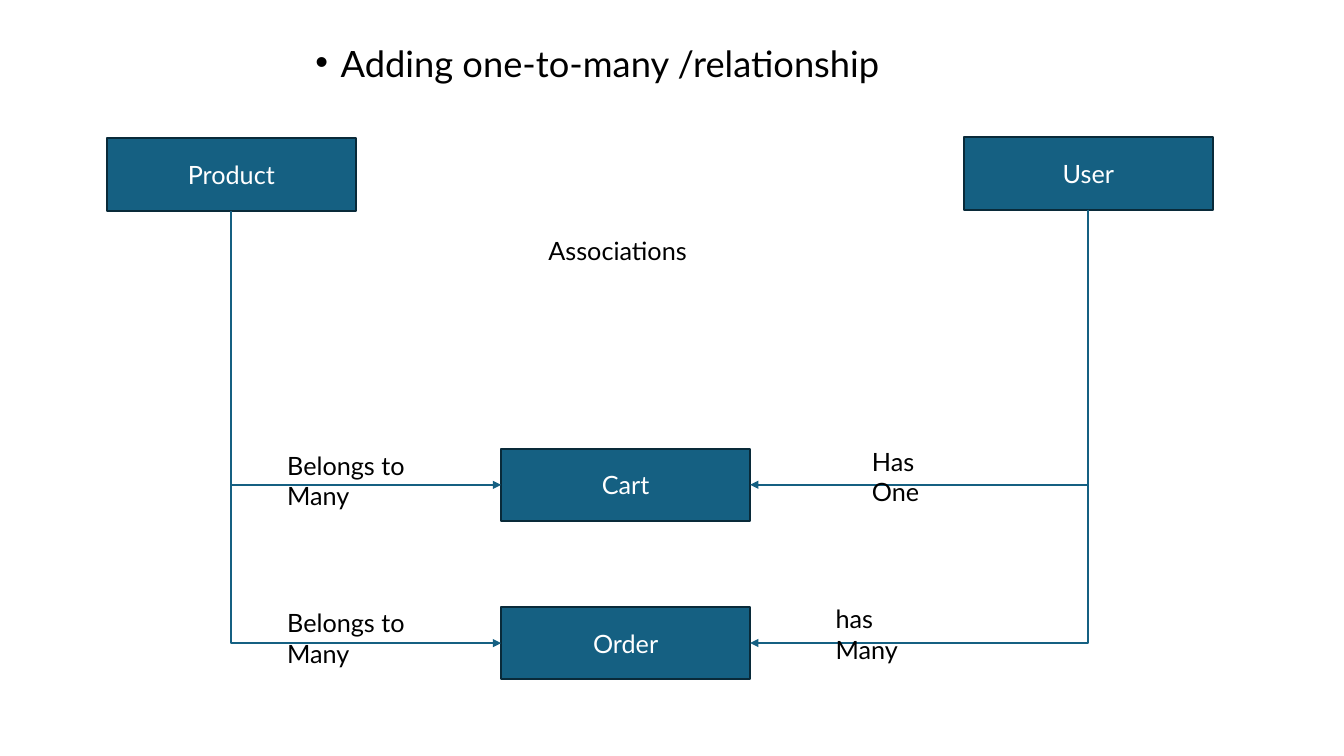
"""Build a slide of the associations between products, users, carts and orders."""
from lxml.etree import SubElement
from pptx import Presentation
from pptx.dml.color import RGBColor
from pptx.enum.shapes import MSO_CONNECTOR, MSO_SHAPE
from pptx.enum.text import MSO_ANCHOR, PP_ALIGN
from pptx.oxml.ns import qn
from pptx.util import Inches, Pt

FONT = "Lato"
BLUE = RGBColor(0x15, 0x60, 0x82)
NAVY = RGBColor(0x09, 0x2A, 0x39)
WHITE = RGBColor(0xFF, 0xFF, 0xFF)
BLACK = RGBColor(0x00, 0x00, 0x00)

TITLE = ("Adding one-to-many /relationship", 3.03, 0.44, 6.35, 0.47)
MODEL_SIZE = (2.47, 0.72)
MODELS = {
    "Product": (1.06, 1.37),
    "User": (9.56, 1.36),
    "Cart": (4.97, 4.45),
    "Order": (4.97, 6.02),
}
LINKS = [("User", "Cart"), ("Product", "Cart"), ("Product", "Order"), ("User", "Order")]
LABELS = [
    ("Has One", 8.55, 4.38, 1.1, 0.4),
    ("Belongs to Many", 2.75, 4.42, 1.98, 0.4),
    ("Belongs to Many", 2.75, 5.98, 1.98, 0.4),
    ("has Many", 8.19, 5.94, 1.2, 0.4),
    ("Associations", 5.34, 2.29, 1.61, 0.4),
]


def write(shape, text, color, size=18):
    """Put one formatted paragraph in a shape and return it."""
    shape.text_frame.word_wrap = True
    para = shape.text_frame.paragraphs[0]
    span = para.add_run()
    span.text = text
    span.font.color.rgb = color
    for name, value in {"name": FONT, "size": Pt(size)}.items():
        setattr(span.font, name, value)
    return para


def add_text(page, text, left, top, width, height, size=18):
    """Add a black text box and return its paragraph."""
    box = page.shapes.add_textbox(*map(Inches, (left, top, width, height)))
    return write(box, text, BLACK, size)


def add_title(page):
    """Add the bulleted heading."""
    para = add_text(page, *TITLE, size=25.9)
    para.line_spacing = 0.8
    para.space_before = Pt(10)
    properties = para._p.get_or_add_pPr()
    properties.set("marL", str(Inches(0.25)))
    properties.set("indent", str(Inches(-0.25)))
    SubElement(properties, qn("a:buFont")).set("typeface", "Arial")
    SubElement(properties, qn("a:buChar")).set("char", "•")


def add_model(page, name, left, top):
    """Add the rectangle of one model."""
    box = page.shapes.add_shape(
        MSO_SHAPE.RECTANGLE, *map(Inches, (left, top, *MODEL_SIZE)))
    box.shadow.inherit = False
    box.fill.solid()
    box.fill.fore_color.rgb = BLUE
    box.line.color.rgb = NAVY
    box.line.width = Pt(1.5)
    box.text_frame.vertical_anchor = MSO_ANCHOR.MIDDLE
    write(box, name, WHITE).alignment = PP_ALIGN.CENTER
    return box


def add_link(page, source, target):
    """Run an arrow down from the source, then across to the target's near side."""
    rightward = source.left < target.left
    start_x = source.left + source.width // 2
    start_y = source.top + source.height
    end_x = target.left if rightward else target.left + target.width
    end_y = target.top + target.height // 2
    across, down = abs(end_x - start_x), end_y - start_y

    link = page.shapes.add_connector(MSO_CONNECTOR.ELBOW, start_x, start_y, end_x, end_y)
    link.begin_connect(source, 2)
    link.end_connect(target, 1 if rightward else 3)
    link.line.color.rgb = BLUE
    link.line.width = Pt(1.5)
    properties = link._element.spPr
    SubElement(link.line._get_or_add_ln(), qn("a:tailEnd")).set("type", "triangle")
    SubElement(properties, qn("a:effectLst"))

    properties.find(qn("a:prstGeom")).set("prst", "bentConnector2")
    frame = properties.find(qn("a:xfrm"))
    frame.attrib.clear()
    frame.set("rot", str((270 if rightward else 90) * 60000))
    if rightward:
        frame.set("flipH", "1")
    link.left = (start_x + end_x - down) // 2
    link.top = (start_y + end_y - across) // 2
    link.width, link.height = down, across


def main():
    """Build and save the slide."""
    deck = Presentation()
    deck.slide_width, deck.slide_height = Inches(13.33), Inches(7.5)
    page = deck.slides.add_slide(deck.slide_layouts[6])
    add_title(page)
    models = {name: add_model(page, name, *place) for name, place in MODELS.items()}
    for source, target in LINKS:
        add_link(page, models[source], models[target])
    for label in LABELS:
        add_text(page, *label)
    deck.save("out.pptx")


if __name__ == "__main__":
    main()
